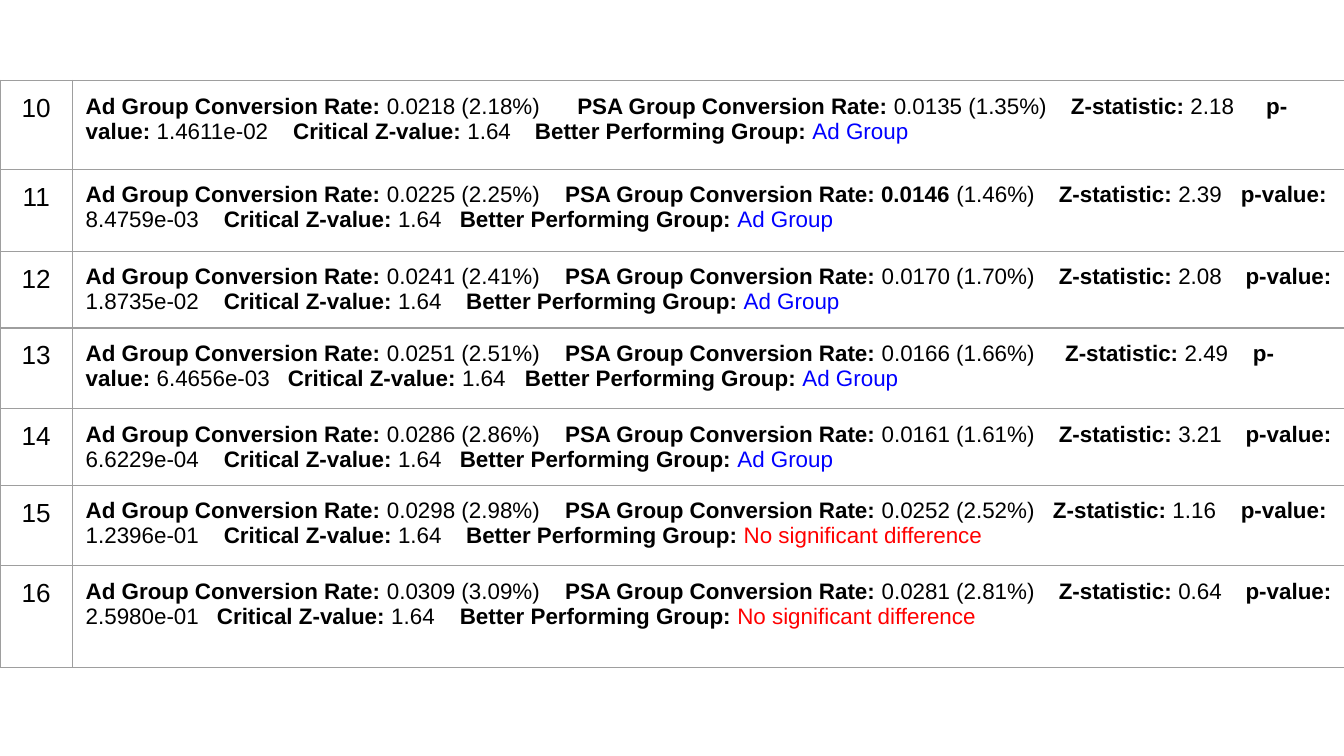
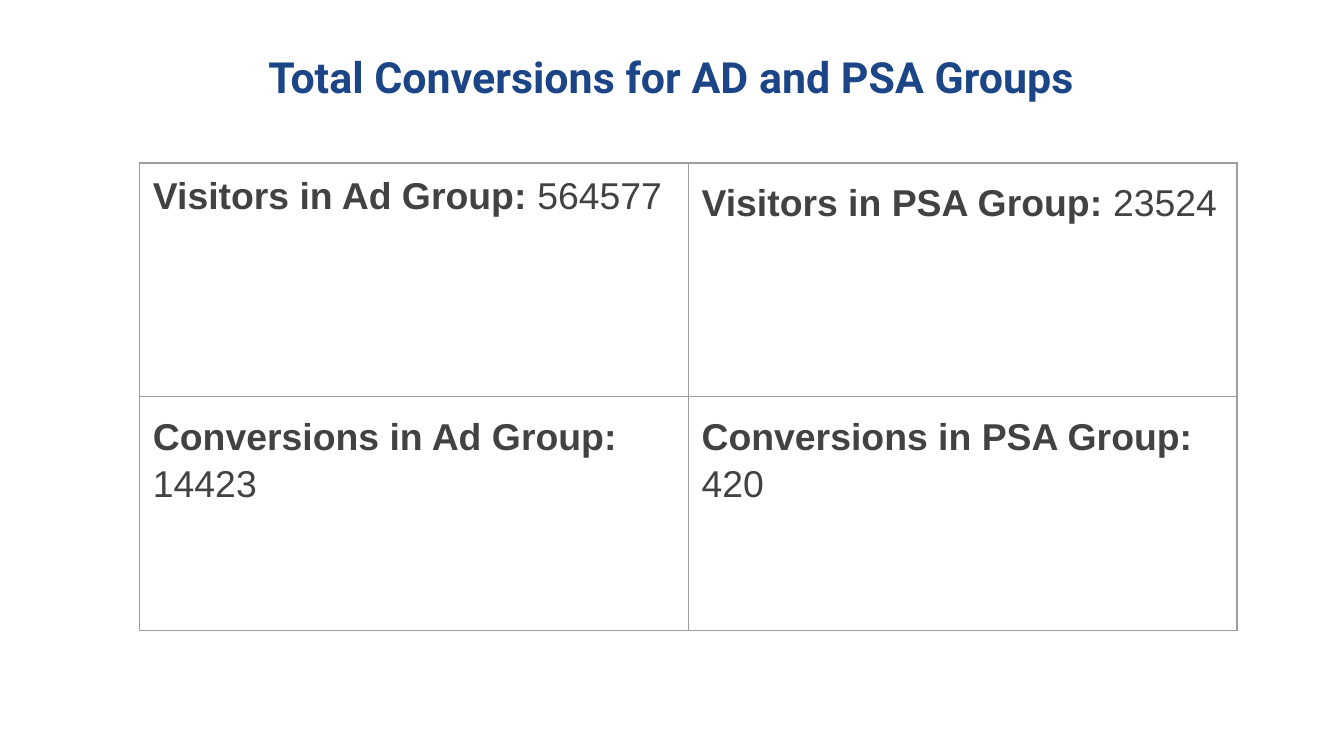
from lxml import etree
from pptx import Presentation
from pptx.dml.color import RGBColor
from pptx.enum import text
from pptx.oxml import ns
from pptx.util import Cm, Pt

BLACK = RGBColor(0x00, 0x00, 0x00)
BLUE = RGBColor(0x00, 0x00, 0xFF)
RED = RGBColor(0xFF, 0x00, 0x00)
NAVY = RGBColor(0x1C, 0x45, 0x87)
CHARCOAL = RGBColor(0x42, 0x42, 0x42)
BORDER_GREY = RGBColor(0x9E, 0x9E, 0x9E)
INSET = Cm(0.25)


def add_span(para, words, size, color, bold=False, font="Arial"):
    span = para.add_run()
    span.text = words
    span.font.size = Pt(size)
    span.font.name = font
    span.font.bold = bold
    span.font.color.rgb = color


def add_grid(slide, left, top, widths, heights):
    """Add an unfilled table with thin grey borders; lengths in cm."""
    table = slide.shapes.add_table(
        len(heights), len(widths), Cm(left), Cm(top), Cm(sum(widths)), Cm(sum(heights))
    ).table
    table.first_row = table.horz_banding = False
    for column, width in zip(table.columns, widths):
        column.width = Cm(width)
    for row, height in zip(table.rows, heights):
        row.height = Cm(height)
    for cell in table.iter_cells():
        cell.margin_left = cell.margin_right = INSET
        cell.margin_top = cell.margin_bottom = INSET
        cell.fill.background()
        properties = cell._tc.get_or_add_tcPr()
        for place, side in enumerate(("lnL", "lnR", "lnT", "lnB")):
            line = etree.Element(ns.qn(f"a:{side}"), w=str(Pt(0.75)))
            fill = etree.SubElement(line, ns.qn("a:solidFill"))
            etree.SubElement(fill, ns.qn("a:srgbClr"), val=str(BORDER_GREY))
            properties.insert(place, line)
    return table


deck = Presentation()
deck.slide_width, deck.slide_height = Cm(25.4), Cm(14.29)
blank = deck.slide_layouts[6]

# Test results by hour
LABELS = ("Ad Group Conversion Rate: ", "PSA Group Conversion Rate: ", "Z-statistic: ",
          "p-value: ", "Critical Z-value: ", "Better Performing Group: ")
AD_WINS = ("Ad Group", BLUE)
NO_WINNER = ("No significant difference", RED)
# Hour, ad rate, PSA rate, z, p, winner, tab stops in cm (two on the second line, three on the first)
RESULTS = [
    (10, "0.0218 (2.18%)", "0.0135 (1.35%)", "2.18", "1.4611e-02", AD_WINS,
     (3.92, 8.49, 9.29, 18.62, 22.31)),
    (11, "0.0225 (2.25%)", "0.0146 (1.46%)", "2.39", "8.4759e-03", AD_WINS,
     (2.61, 7.07, 9.06, 18.39, 21.83)),
    (12, "0.0241 (2.41%)", "0.0170 (1.70%)", "2.08", "1.8735e-02", AD_WINS,
     (2.61, 7.19, 9.06, 18.39, 21.92)),
    (13, "0.0251 (2.51%)", "0.0166 (1.66%)", "2.49", "6.4656e-03", AD_WINS,
     (3.82, 8.3, 9.06, 18.51, 22.06)),
    (14, "0.0286 (2.86%)", "0.0161 (1.61%)", "3.21", "6.6229e-04", AD_WINS,
     (2.61, 7.07, 9.06, 18.39, 21.92)),
    (15, "0.0298 (2.98%)", "0.0252 (2.52%)", "1.16", "1.2396e-01", NO_WINNER,
     (2.61, 7.19, 9.06, 18.28, 21.83)),
    (16, "0.0309 (3.09%)", "0.0281 (2.81%)", "0.64", "2.5980e-01", NO_WINNER,
     (2.48, 7.07, 9.06, 18.39, 21.92)),
]
CRITICAL_Z = "1.64"
BOLD_RATE = "0.0146"

slide = deck.slides.add_slide(blank)
table = add_grid(slide, 0, 1.52, (1.37, 24.1), (1.68, 1.55, 1.45, 1.52, 1.45, 1.52, 1.93))
for row, (hour, ad, psa, z, p, (winner, color), stops) in zip(table.rows, RESULTS):
    hour_cell, result_cell = row.cells
    para = hour_cell.text_frame.paragraphs[0]
    para.alignment = text.PP_ALIGN.CENTER
    add_span(para, str(hour), 14, BLACK)

    para = result_cell.text_frame.paragraphs[0]
    tabs = etree.SubElement(para._p.get_or_add_pPr(), ns.qn("a:tabLst"))
    for stop in stops:
        etree.SubElement(tabs, ns.qn("a:tab"), pos=str(Cm(stop)), algn="l")
    for label, value in zip(LABELS, (ad, psa, z, p, CRITICAL_Z)):
        if value.startswith(BOLD_RATE):
            label, value = label + BOLD_RATE, value.removeprefix(BOLD_RATE)
        add_span(para, label, 12, BLACK, bold=True)
        add_span(para, value + "\t", 12, BLACK)
    add_span(para, LABELS[-1], 12, BLACK, bold=True)
    add_span(para, winner, 12, color)

# Totals
slide = deck.slides.add_slide(blank)
box = slide.shapes.add_textbox(Cm(0.86), Cm(0.89), Cm(23.67), Cm(1.12))
frame = box.text_frame
frame.word_wrap = True
frame.vertical_anchor = text.MSO_ANCHOR.MIDDLE
frame.margin_left = frame.margin_right = frame.margin_top = frame.margin_bottom = INSET
para = frame.paragraphs[0]
para.alignment = text.PP_ALIGN.CENTER
add_span(para, "Total Conversions for AD and PSA Groups", 23, NAVY, bold=True, font="Roboto")

TOTALS = [
    ("Visitors in Ad Group: ", "564577", 1.0),
    ("Visitors in PSA Group: ", "23524", 1.15),
    ("Conversions in Ad Group: ", "14423", 1.15),
    ("Conversions in PSA Group: ", "420", 1.15),
]
table = add_grid(slide, 2.64, 3.08, (10.37, 10.37), (4.42, 4.42))
for cell, (label, value, spacing) in zip(table.iter_cells(), TOTALS):
    para = cell.text_frame.paragraphs[0]
    para.line_spacing = spacing
    add_span(para, label, 20, CHARCOAL, bold=True)
    add_span(para, value, 20, CHARCOAL)

deck.save("out.pptx")
